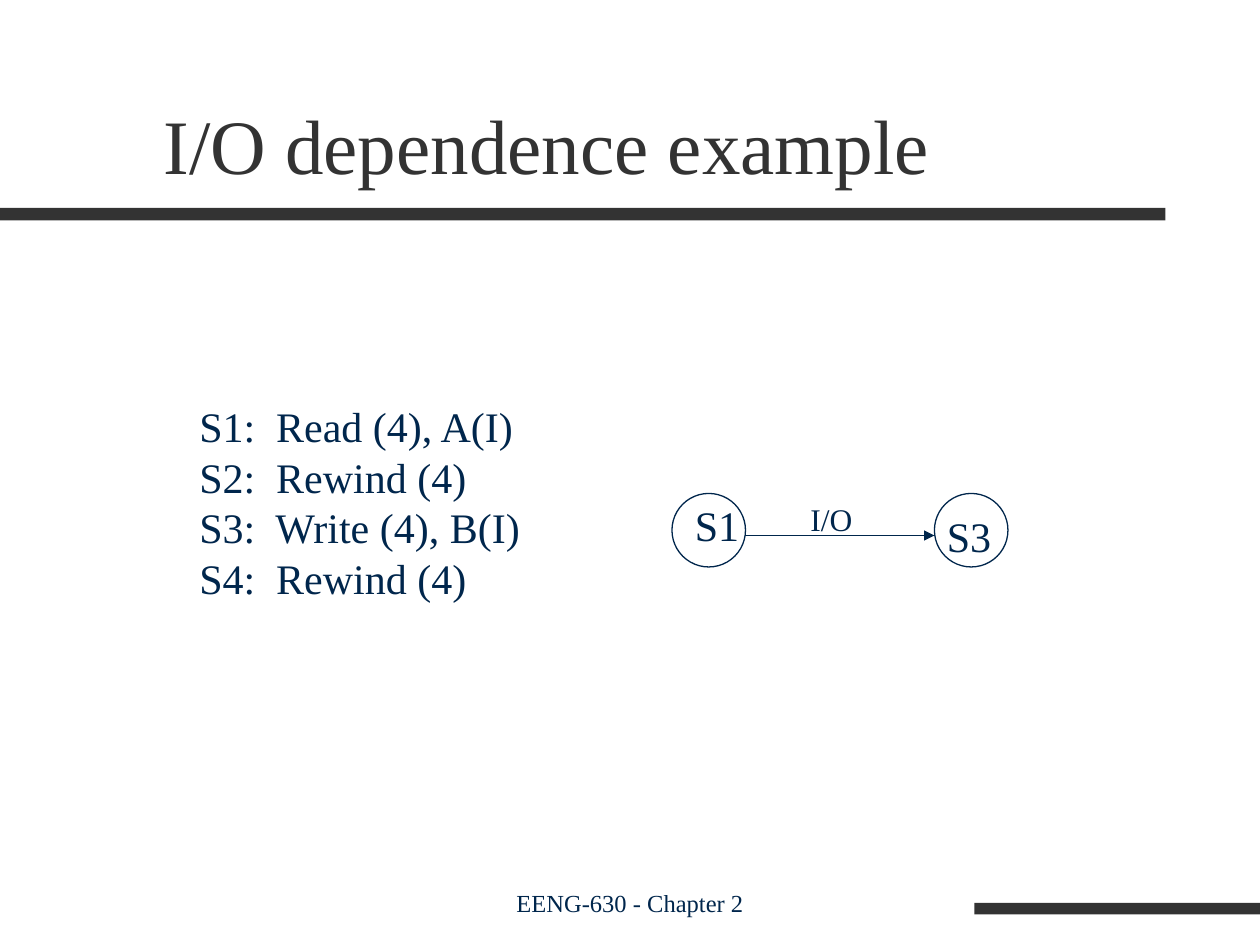
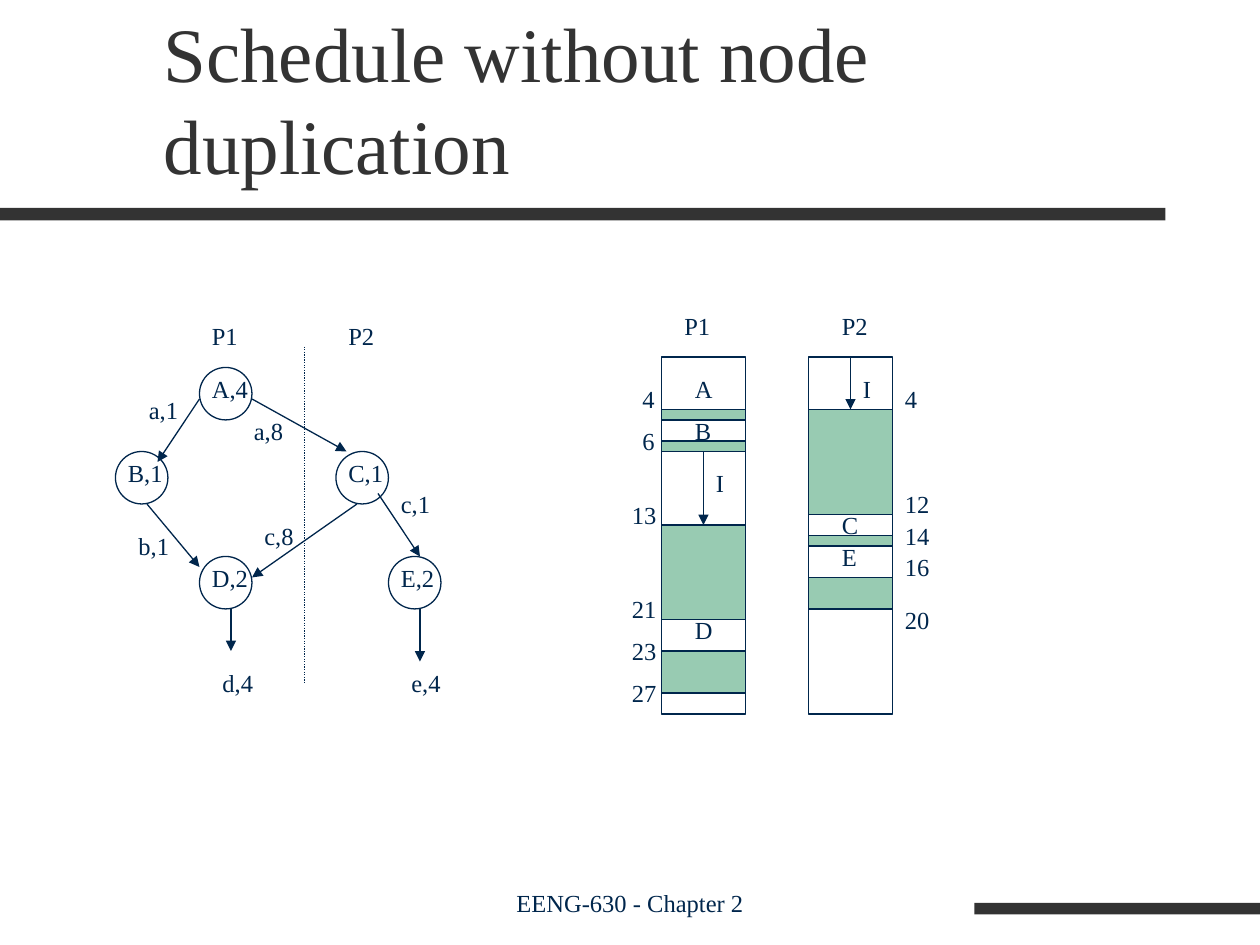
from lxml import etree
from pptx import Presentation
from pptx.dml.color import RGBColor
from pptx.enum.dml import MSO_LINE
from pptx.enum.shapes import MSO_CONNECTOR, MSO_SHAPE
from pptx.enum.text import MSO_ANCHOR, MSO_AUTO_SIZE, PP_ALIGN
from pptx.oxml.ns import qn
from pptx.util import Inches, Pt

STRAIGHT = MSO_CONNECTOR.STRAIGHT
RECTANGLE, OVAL = MSO_SHAPE.RECTANGLE, MSO_SHAPE.OVAL
BOTTOM, CENTER = MSO_ANCHOR.BOTTOM, PP_ALIGN.CENTER
FIT_SHAPE = MSO_AUTO_SIZE.SHAPE_TO_FIT_TEXT
DOTTED = MSO_LINE.ROUND_DOT

CHARCOAL = RGBColor(0x33, 0x33, 0x33)
NAVY = RGBColor(0x00, 0x26, 0x4C)
GREEN = RGBColor(0x33, 0x99, 0x66)
FONT = "Times New Roman"

# The slide is a grid of 120 columns by 90 rows, twelve to the inch
COLUMNS, ROWS, PER_INCH = 120, 90, 12
TITLE_LEFT, TITLE_BOTTOM, TITLE_WIDTH = 14.4, 18.7, 102
LANE_TOP, LANE_WIDTH, LANE_HEIGHT = 34, 8, 34

# Letter widths as shares of the type size; every other letter takes half
LETTER_WIDTHS = {",": 0.25, "/": 0.28, "I": 0.33, "a": 0.44, "c": 0.44,
                 "e": 0.44, "P": 0.56, "S": 0.56, "E": 0.61, "B": 0.67,
                 "C": 0.67, "A": 0.72, "D": 0.72, "O": 0.72}


def grid(*cells):
    return [Inches(cell / PER_INCH) for cell in cells]


def add_text(page, text, area, size, color=NAVY):
    box = page.shapes.add_textbox(*grid(*area))
    frame = box.text_frame
    frame.word_wrap = True
    frame.text = text
    for para in frame.paragraphs:
        for span in para.runs:
            span.font.name = FONT
            span.font.size = Pt(size)
            span.font.color.rgb = color
    return frame


def add_label(page, text, left, top, size=14, width=None):
    """Text that never wraps, in a box as large as its letters need."""
    if width is None:
        letters = sum(LETTER_WIDTHS.get(letter, 0.5) for letter in text)
        width = (letters * size / 72 + 0.2) * PER_INCH
    lines = text.count("\n") + 1
    height = (lines * size * 1.2 / 72 + 0.1) * PER_INCH
    frame = add_text(page, text, (left, top, width, height), size)
    frame.word_wrap = False
    frame.auto_size = FIT_SHAPE


def add_labels(page, labels):
    for text, left, top in labels:
        add_label(page, text, left, top)


def add_figure(page, kind, area, fill=None, line=None, opacity=None):
    figure = page.shapes.add_shape(kind, *grid(*area))
    figure.shadow.inherit = False
    if fill is None:
        figure.fill.background()
    else:
        figure.fill.solid()
        figure.fill.fore_color.rgb = fill
    if opacity is not None:
        color = figure.fill._xPr.find(".//" + qn("a:srgbClr"))
        etree.SubElement(color, qn("a:alpha")).set("val", str(opacity * 1000))
    if line is None:
        figure.line.fill.background()
    else:
        figure.line.color.rgb = line
        figure.line.width = Pt(0.75)


def add_line(page, start, end, arrow=True):
    line = page.shapes.add_connector(STRAIGHT, *grid(*start, *end))
    line.line.color.rgb = NAVY
    line.line.width = Pt(0.75)
    if arrow:
        head = etree.SubElement(line.line._get_or_add_ln(), qn("a:tailEnd"))
        head.set("type", "triangle")
    else:
        line.line.dash_style = DOTTED
    etree.SubElement(line._element.spPr, qn("a:effectLst"))


def add_lane(page, left, busy_spans):
    """One processor's time bar, with its communication spans shaded."""
    add_figure(page, RECTANGLE, (left, LANE_TOP, LANE_WIDTH, LANE_HEIGHT),
               line=NAVY)
    for top, height in busy_spans:
        add_figure(page, RECTANGLE, (left, top, LANE_WIDTH, height),
                   GREEN, NAVY, opacity=50)


def add_page(deck, title, title_height):
    """A blank slide with the shared bands, title and footer."""
    page = deck.slides.add_slide(deck.slide_layouts[6])
    add_figure(page, RECTANGLE, (0, 19.8, 111, 1.2), CHARCOAL)
    add_figure(page, RECTANGLE, (92.8, 86, 27.2, 1.1), CHARCOAL)
    area = (TITLE_LEFT, TITLE_BOTTOM - title_height, TITLE_WIDTH, title_height)
    add_text(page, title, area, 44, CHARCOAL).vertical_anchor = BOTTOM
    footer = add_text(page, "EENG-630 - Chapter 2", (41, 82, 38, 6), 14)
    footer.vertical_anchor = BOTTOM
    footer.paragraphs[0].alignment = CENTER
    return page


def build_dependence(deck):
    page = add_page(deck, "I/O dependence example", 8)
    statements = ("S1:  Read (4), A(I)", "S2:  Rewind (4)",
                  "S3:  Write (4), B(I)", "S4:  Rewind (4)")
    add_label(page, "\n".join(statements), 17.8, 37.6, 24, width=33.1)

    # Two statements joined by their dependence
    for left in (64, 89):
        add_figure(page, OVAL, (left, 47, 7, 7), line=NAVY)
    add_label(page, "S1", 65, 47, 24)
    add_label(page, "S3", 89, 48, 24)
    add_line(page, (71, 51), (89, 51))
    add_label(page, "I/O", 76, 47, 18)


def build_schedule(deck):
    page = add_page(deck, "Schedule without node duplication", 15)

    # Task graph: nodes, edges, edge weights
    nodes = [("A,4", 19, 35), ("B,1", 11, 43), ("C,1", 32, 43),
             ("D,2", 19, 53), ("E,2", 37, 53)]
    for _, left, top in nodes:
        add_figure(page, OVAL, (left, top, 5, 5), line=NAVY)
    edges = [((19, 38), (15, 44)), ((24, 38), (33, 43)),
             ((14, 48), (19, 54)), ((34, 48), (24, 55)),
             ((36, 47), (40, 53)), ((22, 58), (22, 62)),
             ((40, 58), (40, 63))]
    for start, end in edges:
        add_line(page, start, end)
    add_line(page, (29, 33), (29, 65), arrow=False)
    add_labels(page, nodes)
    add_labels(page, [("a,1", 13, 37), ("a,8", 23, 39), ("b,1", 12, 50),
                      ("c,8", 24, 49), ("c,1", 37, 46), ("d,4", 20, 63),
                      ("e,4", 38, 63), ("P1", 19, 30), ("P2", 32, 30)])

    # Time bars of the two processors
    add_lane(page, 63, [(39, 1), (42, 1), (50, 9), (62, 4)])
    add_lane(page, 77, [(39, 10), (51, 1), (55, 3)])
    add_labels(page, [("P1", 64, 29), ("A", 65, 35), ("B", 65, 39),
                      ("I", 67, 44), ("D", 65, 58),
                      ("P2", 79, 29), ("I", 81, 35), ("C", 79, 48),
                      ("E", 79, 51)])

    # Idle spans
    add_line(page, (67, 43), (67, 50))
    add_line(page, (81, 34), (81, 39))

    # Times beside the bars
    add_labels(page, [("4", 60, 36), ("6", 60, 40), ("13", 59, 47),
                      ("21", 59, 56), ("23", 59, 60), ("27", 59, 64)])
    add_labels(page, [(time, 85, top) for time, top in
                      (("4", 36), ("12", 46), ("14", 49), ("16", 52),
                       ("20", 57))])


def main():
    deck = Presentation()
    deck.slide_width, deck.slide_height = grid(COLUMNS, ROWS)
    build_dependence(deck)
    build_schedule(deck)
    deck.save("out.pptx")


if __name__ == "__main__":
    main()
